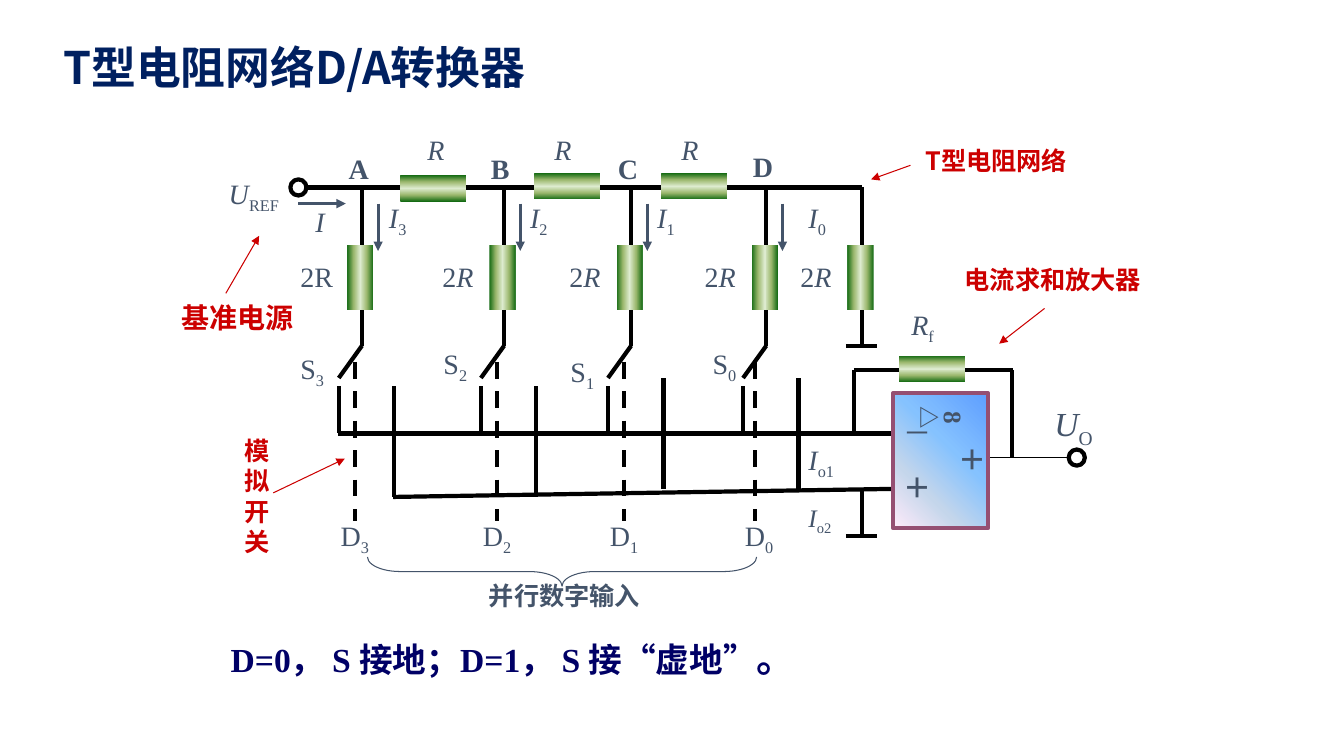
from dataclasses import dataclass

from lxml import etree
from pptx import Presentation, util as u
from pptx.dml.color import RGBColor
from pptx.enum import dml, shapes, text
from pptx.oxml import ns


@dataclass(frozen=True)
class Theme:
    wire: str = "000000"
    label: str = "44546A"
    callout: str = "CC0000"
    heading: str = "002060"
    heading_shadow: str = "C0C0C0"
    note: str = "000066"
    amplifier_edge: str = "954F72"
    amplifier: tuple = ((0, "FFEBFA"), (30, "C4D6EB"), (60, "85C2FF"), (100, "5E9EFF"))
    resistor: tuple = ((0, "156B13"), (25, "9CB86E"), (50, "DDEBCF"), (75, "9CB86E"), (100, "156B13"))
    serif: str = "Times New Roman"
    sans: str = "Noto Sans CJK SC"
    title_size: int = 32
    stop_size: int = 28
    large: int = 24
    normal: int = 20
    small: int = 18
    symbol: int = 16


theme = Theme()
presentation = Presentation()
presentation.slide_width = u.Inches(13.33)
presentation.slide_height = u.Inches(7.5)
slide = presentation.slides.add_slide(presentation.slide_layouts[5])


def add_line(start, end, color=theme.wire, width=3, dashed=False, arrow=False):
    connector = slide.shapes.add_connector(
        shapes.MSO_CONNECTOR.STRAIGHT, *(u.Inches(value) for value in (*start, *end)))
    connector.line.color.rgb = RGBColor.from_string(color)
    connector.line.width = u.Pt(width)
    if dashed:
        connector.line.dash_style = dml.MSO_LINE.DASH
    properties = connector._element.spPr
    if arrow:
        etree.SubElement(properties.find(ns.qn("a:ln")), ns.qn("a:tailEnd"), type="triangle")
    etree.SubElement(properties, ns.qn("a:effectLst"))


def add_text(box, runs, size=theme.normal, color=theme.label, font=theme.serif,
             wrap=True, shape=None, align=text.PP_ALIGN.LEFT):
    left, top, width, height = (u.Inches(value) for value in box)
    if shape is None:
        shape = slide.shapes.add_textbox(left, top, width, height)
    shape.left, shape.top, shape.width, shape.height = left, top, width, height
    shape.text_frame.word_wrap = wrap
    shape.text_frame.auto_size = text.MSO_AUTO_SIZE.NONE
    paragraph = shape.text_frame.paragraphs[0]
    paragraph.alignment = align
    for content, style, *special in runs:
        run = paragraph.add_run()
        run.text = content
        run.font.name, run_size = special or (font, size)
        run.font.size = u.Pt(run_size)
        run.font.bold = "b" in style
        run.font.italic = "i" in style
        run.font.color.rgb = RGBColor.from_string(color)
        properties = run._r.get_or_add_rPr()
        etree.SubElement(properties, ns.qn("a:ea"), typeface=theme.sans)
        if "s" in style:
            properties.set("baseline", "-25000")
    return shape


title = add_text((0.22, 0.34, 5.4, 0.64), [("T型电阻网络D/A转换器", "b")], theme.title_size,
                 theme.heading, theme.sans, shape=slide.shapes.title, align=text.PP_ALIGN.CENTER)
title.text_frame.vertical_anchor = text.MSO_ANCHOR.MIDDLE
title_properties = title.text_frame.paragraphs[0].runs[0]._r.rPr
effects = etree.Element(ns.qn("a:effectLst"))
shadow = etree.SubElement(effects, ns.qn("a:outerShdw"), blurRad="38100", dist="38100", dir="2700000")
etree.SubElement(shadow, ns.qn("a:srgbClr"), val=theme.heading_shadow)
title_properties.insert(1, effects)

wires = [
    ((3.03, 1.86), (4.14, 1.86)), ((4.61, 1.86), (5.4, 1.86)),
    ((5.87, 1.86), (6.66, 1.86)), ((7.13, 1.86), (8.55, 1.86)),
    ((8.55, 1.86), (8.55, 2.49)), ((8.55, 2.96), (8.55, 3.43)), ((8.39, 3.43), (8.7, 3.43)),
    ((3.35, 4.3), (8.86, 4.3)), ((3.9, 4.93), (8.86, 4.85)),
    ((8.55, 4.85), (8.55, 5.32)), ((8.39, 5.32), (8.7, 5.32)),
    ((8.47, 3.67), (9.02, 3.67)), ((9.49, 3.67), (10.05, 3.67)),
    ((8.47, 4.3), (8.47, 3.67)), ((10.04, 4.54), (10.04, 3.67)),
]
for start, end in wires:
    add_line(start, end)
add_line((9.81, 4.54), (10.6, 4.54), width=1)
add_line((2.96, 2.02), (3.43, 2.02), theme.label, 2.25, arrow=True)

branches = [
    ("A", "3", 3.59, 3.52, 3.83, 1.45, 3.76, (2.88, 3.44)),
    ("B", "2", 5, 4.93, 3.83, 1.45, 5.16, (4.3, 3.39)),
    ("C", "1", 6.26, 6.19, 3.75, 1.45, 6.42, (5.56, 3.47)),
    ("D", "0", 7.6, 7.49, 3.75, 1.43, 7.92, (6.97, 3.39)),
]
for node, digit, x, control_x, contact_top, node_top, current_left, switch in branches:
    add_line((x, 1.86), (x, 2.49))
    add_line((x, 2.96), (x, 3.43))
    add_line((x, 3.43), (x - 0.23, 3.75))
    add_line((x - 0.23, 3.83), (x - 0.23, 4.3))
    add_line((x + 0.32, contact_top), (x + 0.32, contact_top + 1.1))
    add_line((control_x, 3.59), (control_x, 5.17), dashed=True)
    add_line((x + 0.16, 2.02), (x + 0.16, 2.49), theme.label, 2.25, arrow=True)
    add_text((x - 0.23, node_top, 0.47, 0.43), [(node, "b")])
    add_text((current_left, 1.94, 0.47, 0.43), [("I", "i"), (digit, "s")])
    add_text((*switch, 0.63, 0.43), [("S", ""), (digit, "s")])
    add_text((x - 0.31, 5.09, 0.63, 0.43), [("D", ""), (digit, "s")])

ladder_x = [branch[2] for branch in branches] + [8.55]
for x in ladder_x:
    add_text((x - 0.71, 2.53, 0.63, 0.43), [("2R", "")] if x == 3.59 else [("2", ""), ("R", "i")])
for left in (4.14, 5.4, 6.66):
    add_text((left, 1.27, 0.55, 0.43), [("R", "i")])

blocks = [((x - 0.34, 2.62, 0.65, 0.26), 270, theme.resistor, 270) for x in ladder_x]
blocks += [((left, top, 0.65, 0.26), 0, theme.resistor, 270)
           for left, top in ((3.97, 1.74), (5.3, 1.72), (6.56, 1.72), (8.92, 3.53))]
blocks.append(((8.86, 3.9, 0.94, 1.34), 0, theme.amplifier, 45))
for box, rotation, stops, angle in blocks:
    block = slide.shapes.add_shape(shapes.MSO_SHAPE.RECTANGLE, *(u.Inches(value) for value in box))
    block.rotation = rotation
    block.shadow.inherit = False
    block.fill.gradient()
    block.fill.gradient_angle = angle
    stop_list = block._element.spPr.find(".//" + ns.qn("a:gsLst"))
    for stop in list(stop_list):
        stop_list.remove(stop)
    for position, color in stops:
        stop = etree.SubElement(stop_list, ns.qn("a:gs"), pos=str(position * 1000))
        etree.SubElement(stop, ns.qn("a:srgbClr"), val=color)
    if stops is theme.amplifier:
        block.line.color.rgb = RGBColor.from_string(theme.amplifier_edge)
        block.line.width = u.Pt(3)
    else:
        block.line.fill.background()

outlines = [
    (shapes.MSO_SHAPE.OVAL, (2.88, 1.78, 0.16, 0.16), theme.wire, 3),
    (shapes.MSO_SHAPE.OVAL, (10.6, 4.46, 0.16, 0.16), theme.wire, 3),
    (shapes.MSO_SHAPE.LEFT_BRACE, (5.43, 3.74, 0.29, 3.86), theme.label, 0.75),
]
for kind, box, color, width in outlines:
    outline = slide.shapes.add_shape(kind, *(u.Inches(value) for value in box))
    outline.shadow.inherit = False
    outline.fill.background()
    outline.line.color.rgb = RGBColor.from_string(color)
    outline.line.width = u.Pt(width)
    if kind == shapes.MSO_SHAPE.LEFT_BRACE:
        outline.rotation = 270
        outline.adjustments[0] = 1.12
        outline.adjustments[1] = 0.5

add_text((2.17, 1.7, 1.02, 0.43), [("U", "i"), ("REF", "s")])
add_text((3.03, 1.98, 0.39, 0.43), [("I", "i")])
add_text((8.94, 3, 0.71, 0.43), [("R", "i"), ("f", "s")])
add_text((10.36, 3.95, 0.79, 0.5), [("U", "i"), ("O", "s")], theme.large)
add_text((7.92, 4.34, 0.79, 0.43), [("I", "i"), ("o1", "s")])
add_text((7.92, 4.93, 0.55, 0.4), [("I", "i"), ("o2", "s")], theme.small)
add_text((8.86, 4.07, 0.47, 0.43), [("－", "")])
add_text((8.86, 4.62, 0.47, 0.43), [("＋", "b")])
add_text((9.41, 4.34, 0.47, 0.43), [("＋", "b")])
add_text((8.98, 3.98, 0.47, 0.37), [("△", "b")], theme.symbol, font=theme.sans).rotation = 90
add_text((9.34, 3.9, 0.24, 0.4), [("8", "b")], theme.small).rotation = 90

callouts = [
    ("基准电源", (1.7, 2.93, 1.32, 0.43), theme.normal, (2.24, 2.91), (2.57, 2.34)),
    ("模拟开关", (2.27, 4.27, 0.56, 1.3), theme.small, (2.71, 4.89), (3.42, 4.55)),
    ("T型电阻网络", (9.08, 1.39, 2.12, 0.4), theme.small, (9.03, 1.64), (8.64, 1.78)),
    ("电流求和放大器", (9.47, 2.57, 2.07, 0.4), theme.small, (10.36, 3.06), (9.91, 3.41)),
]
for caption, box, size, start, end in callouts:
    align = text.PP_ALIGN.CENTER if box[3] > box[2] else text.PP_ALIGN.LEFT
    add_text(box, [(caption, "b")], size, theme.callout, theme.sans, align=align)
    add_line(start, end, theme.callout, 0.75, arrow=True)

add_text((4.75, 5.71, 1.71, 0.4), [("并行数字输入", "b")], theme.small, wrap=False)
chinese = (theme.sans, theme.large)
add_text((2.19, 6.23, 5.94, 0.57), [
    ("D=0", "b"), ("， ", "b", *chinese), ("S ", "b"), ("接地；", "b", *chinese),
    ("D=1", "b"), ("， ", "b", *chinese), ("S ", "b"), ("接", "b", *chinese),
    ("“", "b"), ("虚地", "b", *chinese), ("”", "b"), ("。", "b", theme.sans, theme.stop_size),
], theme.large, theme.note)

presentation.save("out.pptx")
